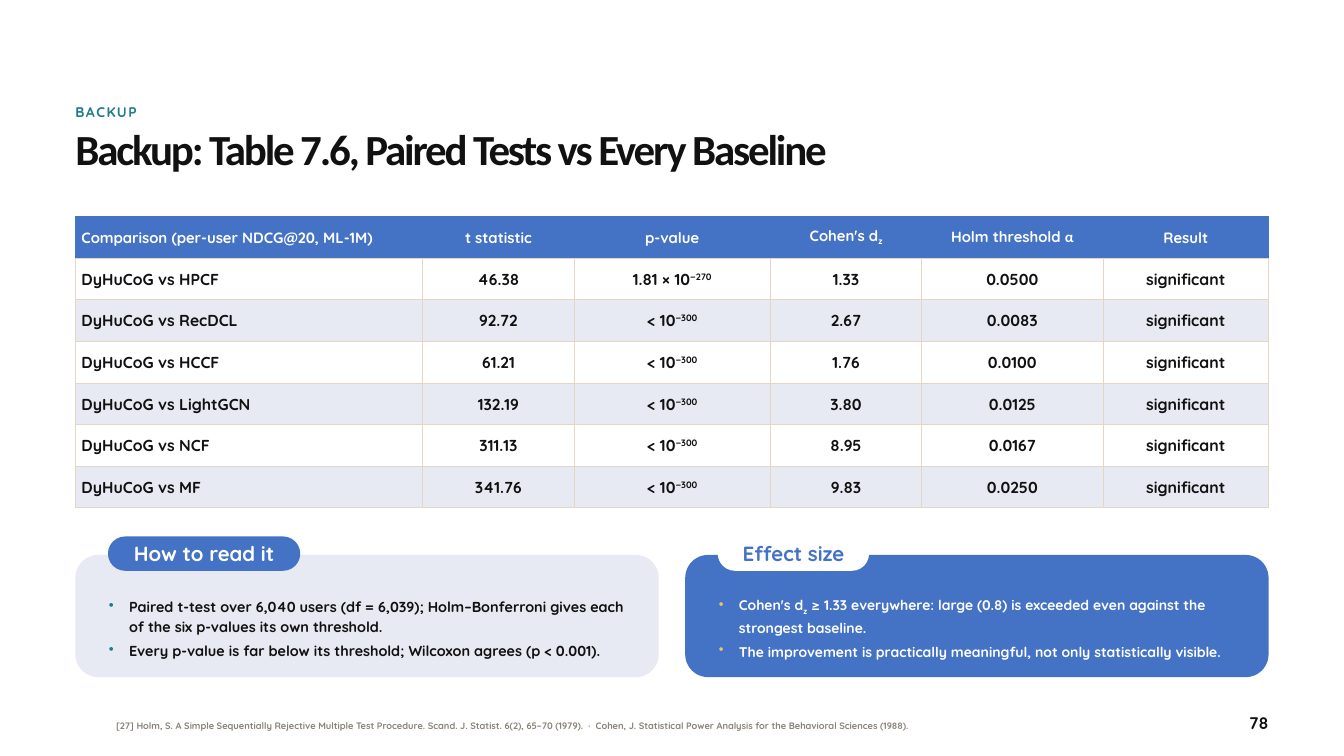
import pptx
import pptx.dml.color
import pptx.enum.shapes
import pptx.enum.text
import pptx.oxml
import pptx.oxml.ns
import pptx.util

Cm = pptx.util.Cm
Pt = pptx.util.Pt
ALIGN = pptx.enum.text.PP_ALIGN
ANCHOR = pptx.enum.text.MSO_ANCHOR

BLUE, PALE, WHITE, INK = "4472C4", "E7EAF3", "FFFFFF", "111111"
TEAL, GOLD, SAND, GREY = "1F7A8C", "ECC665", "E3D6C4", "8A8378"
LEFT, WIDTH = 2.85, 45.1

# A run is plain text or a pair of text and the values that differ
SUB_Z = ("z", {"baseline": -25000})


def power(base, exponent):
    return [base, (exponent, {"baseline": 30000})]


HEADERS = [["Comparison (per-user NDCG@20, ML-1M)"], ["t statistic"], ["p-value"],
           ["Cohen's d", SUB_Z], ["Holm threshold ", ("α", {"name": "Calibri"})], ["Result"]]
COLUMN_WIDTHS = [13.13, 5.72, 7.42, 5.72, 6.85, 6.26]
TINY = power("< 10", "−300")
RESULTS = [
    ("HPCF", "46.38", power("1.81 × 10", "−270"), "1.33", "0.0500"),
    ("RecDCL", "92.72", TINY, "2.67", "0.0083"),
    ("HCCF", "61.21", TINY, "1.76", "0.0100"),
    ("LightGCN", "132.19", TINY, "3.80", "0.0125"),
    ("NCF", "311.13", TINY, "8.95", "0.0167"),
    ("MF", "341.76", TINY, "9.83", "0.0250"),
]


def rgb(value):
    return pptx.dml.color.RGBColor.from_string(value)


def write_runs(para, runs, style):
    """Add the runs to a paragraph, each in the style plus its own values."""
    for item in runs:
        text, changes = (item, {}) if isinstance(item, str) else item
        span = para.add_run()
        span.text = text
        for key, value in {"name": "Quicksand", "bold": True, **style, **changes}.items():
            if key == "color":
                span.font.color.rgb = rgb(value)
            elif key in ("baseline", "spc"):
                span._r.get_or_add_rPr().set(key, str(value))
            else:
                setattr(span.font, key, value)


def set_frame(frame, anchor=ANCHOR.TOP, side=0):
    values = {"word_wrap": True, "vertical_anchor": anchor, "margin_left": Cm(side),
              "margin_right": Cm(side), "margin_top": 0, "margin_bottom": 0}
    for key, value in values.items():
        setattr(frame, key, value)


def add_text(page, box, text, style, spacing, align=ALIGN.LEFT, anchor=ANCHOR.TOP):
    frame = page.shapes.add_textbox(*map(Cm, box)).text_frame
    set_frame(frame, anchor)
    para = frame.paragraphs[0]
    para.alignment, para.line_spacing = align, Pt(spacing)
    write_runs(para, [text], style)


def add_rounded(page, box, fill, adjustment, line=None):
    shape = page.shapes.add_shape(
        pptx.enum.shapes.MSO_SHAPE.ROUNDED_RECTANGLE, *map(Cm, box))
    shape.shadow.inherit = False
    shape.adjustments[0] = adjustment
    shape.fill.solid()
    shape.fill.fore_color.rgb = rgb(fill)
    if line:
        shape.line.color.rgb = rgb(line)
        shape.line.width = Pt(2.25)
    else:
        shape.line.fill.background()
    return shape


def add_bullet(para, color):
    props = para._p.get_or_add_pPr()
    props.set("marL", str(Cm(0.76)))
    props.set("indent", str(-Cm(0.76)))
    space = pptx.oxml.ns.nsdecls("a")
    for xml in (f'<a:buClr {space}><a:srgbClr val="{color}"/></a:buClr>',
                f'<a:buChar {space} char="•"/>'):
        props.append(pptx.oxml.parse_xml(xml))


def fill_cell(cell, runs, style, spacing, align, fill, border):
    """Write a cell and give it four borders and a fill."""
    cell.vertical_anchor = ANCHOR.MIDDLE
    cell.margin_left = cell.margin_right = Cm(0.23)
    cell.margin_top = cell.margin_bottom = Cm(0.13)
    para = cell.text_frame.paragraphs[0]
    para.alignment, para.line_spacing = align, Pt(spacing)
    write_runs(para, runs, style)
    for side in "LRTB":
        cell._tc.get_or_add_tcPr().append(pptx.oxml.parse_xml(
            f'<a:ln{side} {pptx.oxml.ns.nsdecls("a")} w="{Pt(1)}"><a:solidFill>'
            f'<a:srgbClr val="{border}"/></a:solidFill></a:ln{side}>'))
    cell.fill.solid()
    cell.fill.fore_color.rgb = rgb(fill)


def add_results_table(page, box):
    rows = [HEADERS]
    for name, statistic, p_value, effect, threshold in RESULTS:
        rows.append([[f"DyHuCoG vs {name}"], [statistic], p_value, [effect],
                     [threshold], ["significant"]])
    table = page.shapes.add_table(len(rows), len(HEADERS), *map(Cm, box)).table
    table.first_row = table.horz_banding = False
    for column, width in zip(table.columns, COLUMN_WIDTHS):
        column.width = Cm(width)
    for r, row in enumerate(rows):
        table.rows[r].height = Cm(box[3] / len(rows))
        if r == 0:
            style, spacing, fill, border = {"size": Pt(16), "color": WHITE}, 20.8, BLUE, BLUE
        else:
            style, spacing, border = {"size": Pt(17), "color": INK}, 22.1, SAND
            fill = WHITE if r % 2 else PALE
        for c, runs in enumerate(row):
            align = ALIGN.CENTER if c else ALIGN.LEFT
            fill_cell(table.cell(r, c), runs, style, spacing, align, fill, border)


def add_card(page, box, title, tab_width, bullets, colors, size, spacings, gap):
    """A rounded card with a pill heading across its top edge."""
    left, top, width, height = box
    fill, tab_fill, tab_ink, ink, bullet_color = colors
    add_rounded(page, box, fill, 0.187)

    # Heading pill
    tab = add_rounded(page, (left + 1.27, top - 0.66, tab_width, 1.22), tab_fill, 0.5, tab_fill)
    set_frame(tab.text_frame, ANCHOR.MIDDLE, 0.13)
    para = tab.text_frame.paragraphs[0]
    para.alignment, para.line_spacing = ALIGN.CENTER, Pt(26.4)
    write_runs(para, [title], {"size": Pt(22), "color": tab_ink})

    # Bullets
    area = (left + 1.27, top + 1.52, width - 2.44, height - 2.03)
    frame = page.shapes.add_textbox(*map(Cm, area)).text_frame
    set_frame(frame)
    for i, (runs, spacing) in enumerate(zip(bullets, spacings)):
        para = frame.add_paragraph() if i else frame.paragraphs[0]
        para.line_spacing = Pt(spacing)
        if i:
            para.space_before = Pt(gap)
        add_bullet(para, bullet_color)
        write_runs(para, runs, {"size": Pt(size), "color": ink})


def add_heading(page, box):
    left, top, width, _ = box
    add_text(page, (left, top, width, 0.91), "BACKUP",
             {"size": Pt(15), "color": TEAL, "spc": 160}, 20)
    add_text(page, (left, top + 0.92, width, 2.03),
             "Backup: Table 7.6, Paired Tests vs Every Baseline",
             {"size": Pt(46), "name": "Calibri", "color": INK, "spc": -230}, 50.6)


def add_footer(page, box):
    left, top, width, height = box
    add_text(page, (left + 1.54, top, 40.26, height),
             "[27] Holm, S. A Simple Sequentially Rejective Multiple Test Procedure. "
             "Scand. J. Statist. 6(2), 65–70 (1979).\u00a0 ·\u00a0 Cohen, J. Statistical Power "
             "Analysis for the Behavioral Sciences (1988).".replace("\u00a0", " "),
             {"size": Pt(10), "color": GREY}, 12, anchor=ANCHOR.MIDDLE)
    add_text(page, (left + width - 3.05, top + 0.25, 3.05, 0.91), "78",
             {"size": Pt(18), "color": INK}, 22, ALIGN.RIGHT)


def main():
    deck = pptx.Presentation()
    deck.slide_width, deck.slide_height = Cm(50.8), Cm(28.58)
    page = deck.slides.add_slide(deck.slide_layouts[6])

    add_heading(page, (LEFT, 3.86, WIDTH, 2.95))
    add_results_table(page, (LEFT, 8.18, WIDTH, 11.02))

    # Two equal cards side by side
    gutter = 1
    card_width = (WIDTH - gutter) / 2
    add_card(page, (LEFT, 20.98, card_width, 4.62), "How to read it", 7.19,
             [["Paired t-test over 6,040 users (df = 6,039); Holm–Bonferroni gives each "
               "of the six p-values its own threshold."],
              ["Every p-value is far below its threshold; Wilcoxon agrees (p < 0.001)."]],
             (PALE, BLUE, WHITE, INK, TEAL), 15.5, (21.7, 21.7), 3.9)
    add_card(page, (LEFT + card_width + gutter, 20.98, card_width, 4.62), "Effect size", 5.64,
             [["Cohen's d", SUB_Z, " ≥ 1.33 everywhere: large (0.8) is exceeded even "
               "against the strongest baseline."],
              ["The improvement is practically meaningful, not only statistically visible."]],
             (BLUE, WHITE, BLUE, WHITE, GOLD), 15, (22.3, 21.1), 3.8)

    add_footer(page, (LEFT, 26.67, WIDTH, 1.57))
    deck.save("out.pptx")


if __name__ == "__main__":
    main()
